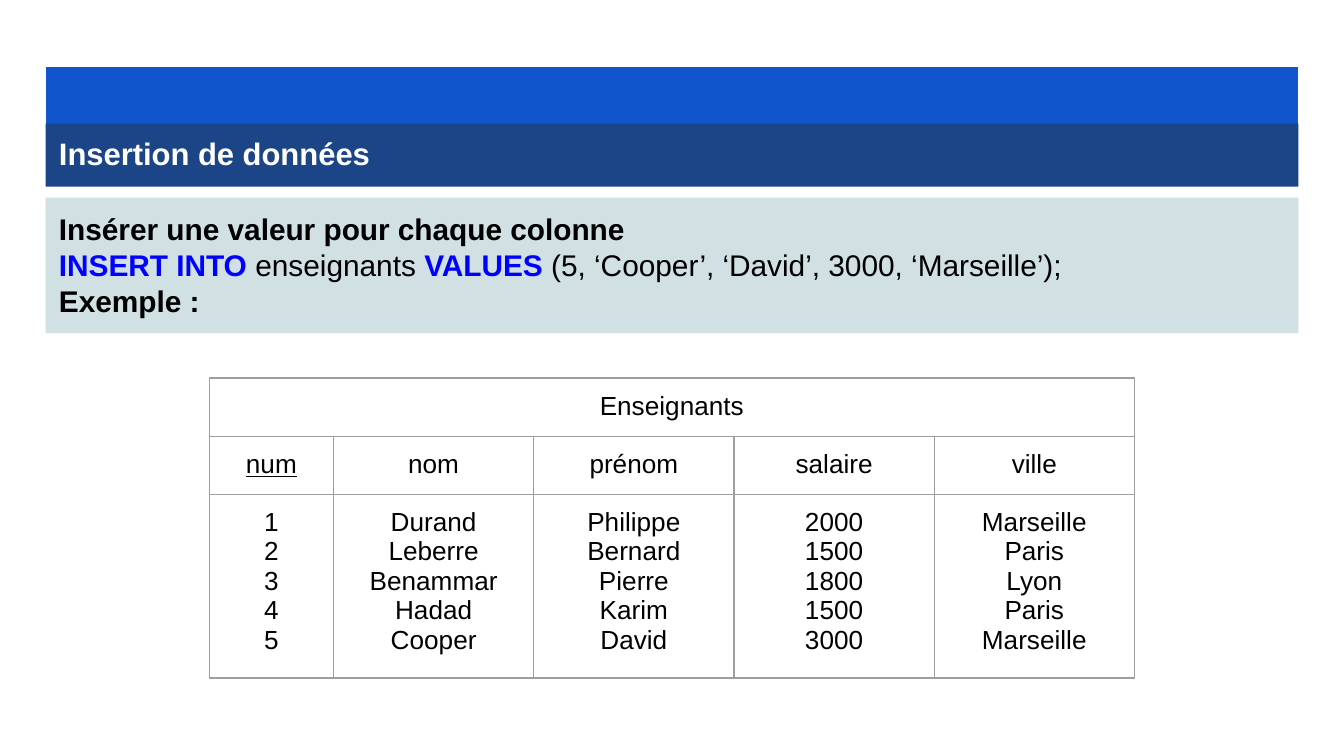
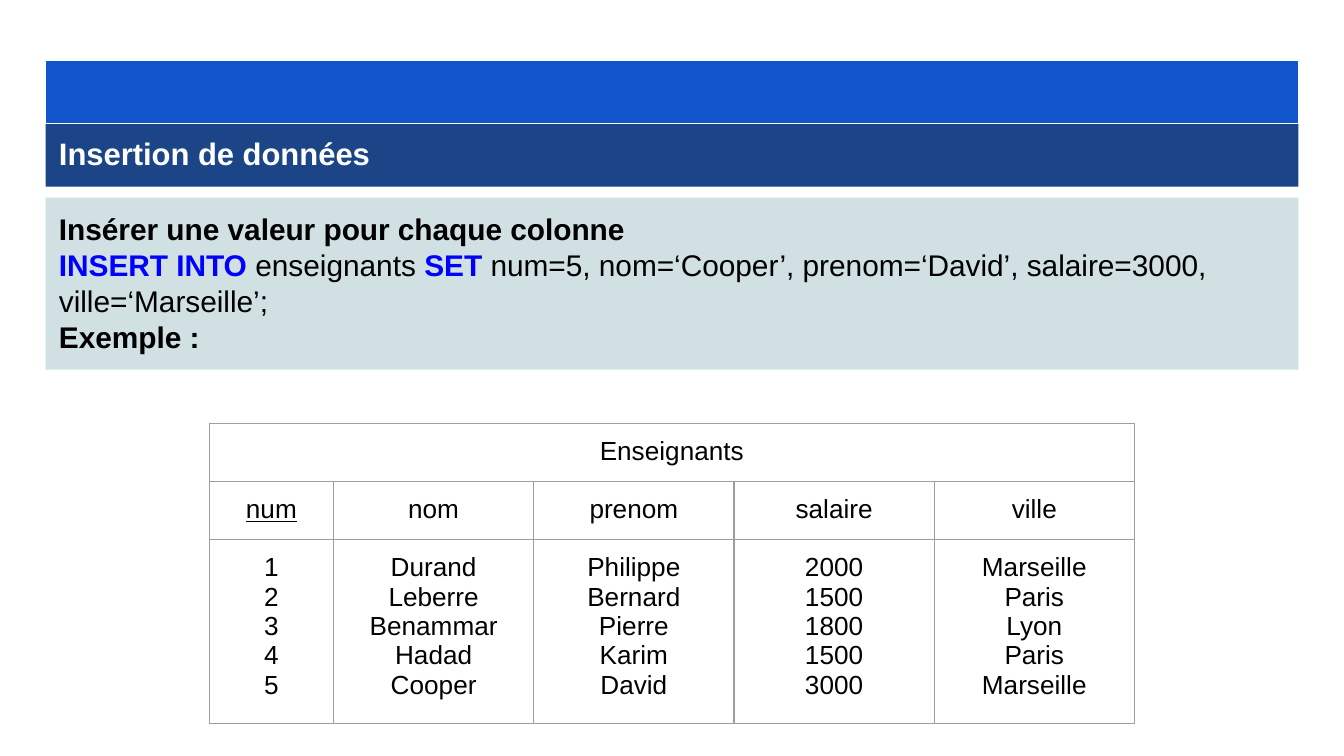
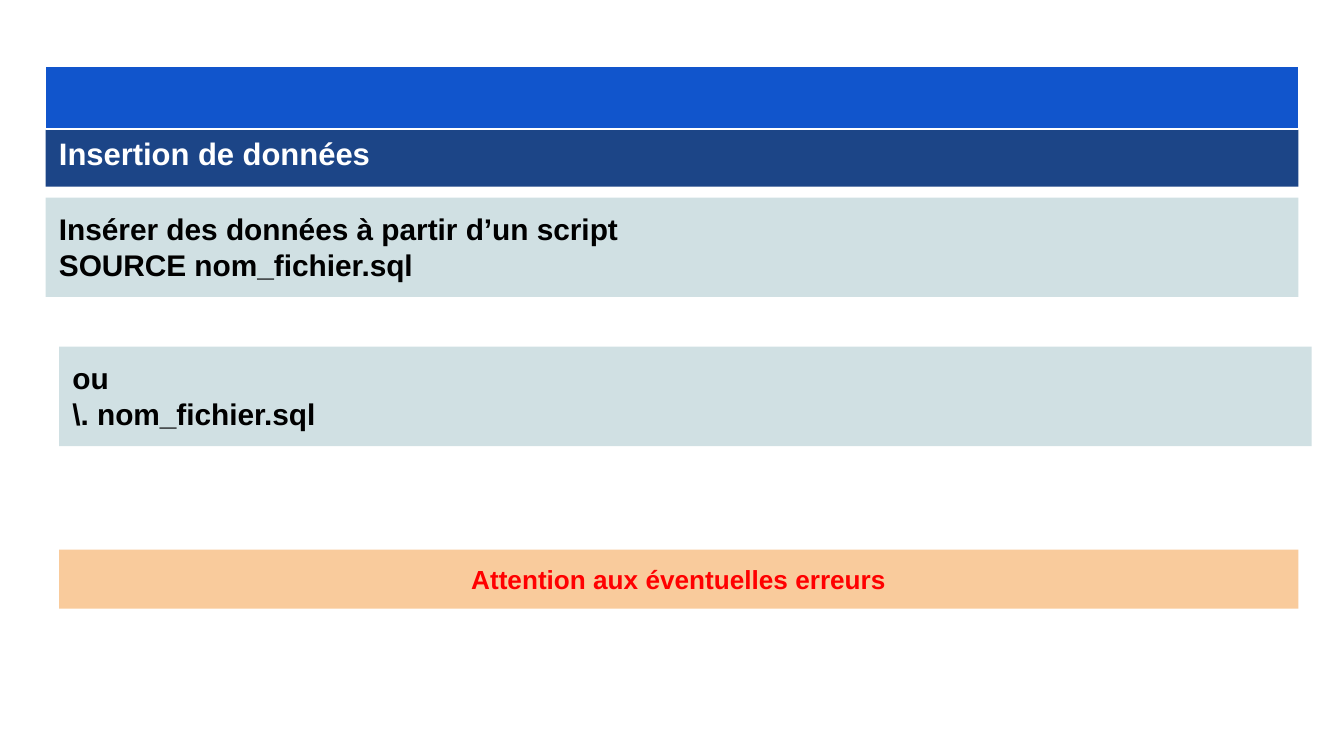
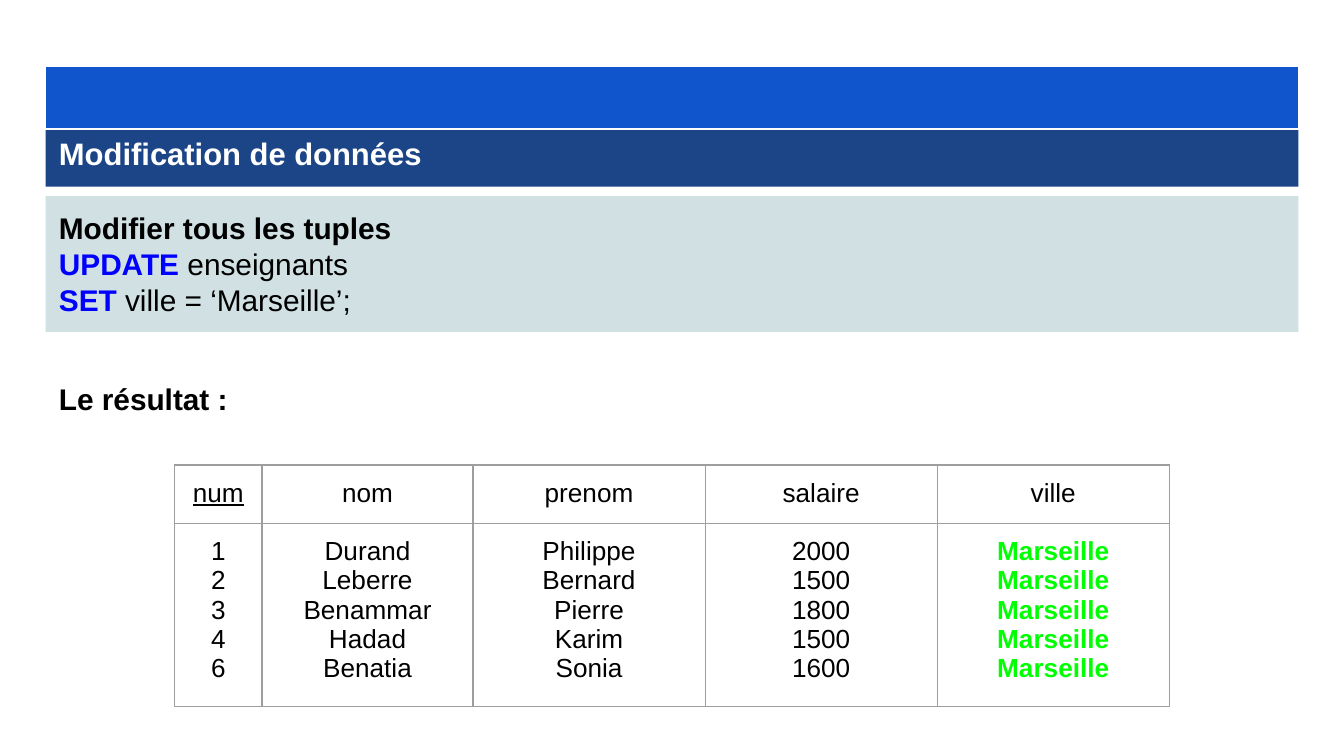
import pptx
import pptx.dml.color
import pptx.enum.shapes
import pptx.enum.text
import pptx.oxml
import pptx.oxml.ns
import pptx.util

WIDE = pptx.util.Inches(10)
HIGH = WIDE * 9 // 16
COLS = 100  # the grid is square: rows are as high as columns are wide
LEFT, SPAN = 3.4, 93.2
BAND = 4.7
PAD = 1
HEAD, BODY = 4.33, 13.67

FONT = "Arial"
WHITE, BLACK, RED, GREEN = "FFFFFF", "000000", "FF0000", "00FF00"
BRIGHT, NAVY, PALE, PEACH = "1155CC", "1C4587", "D0E0E3", "F9CB9C"
KEY, RULE = "0000FF", "9E9E9E"
START = pptx.enum.text.PP_ALIGN.LEFT
CENTER = pptx.enum.text.PP_ALIGN.CENTER

NAMES = ["Durand", "Leberre", "Benammar", "Hadad"]
FIRSTS = ["Philippe", "Bernard", "Pierre", "Karim"]
WAGES = ["2000", "1500", "1800", "1500"]
TOWNS = ["Marseille", "Paris", "Lyon", "Paris"]
STAFF = [["1", "2", "3", "4", "5"], NAMES + ["Cooper"], FIRSTS + ["David"],
         WAGES + ["3000"], TOWNS + ["Marseille"]]
MOVED = [["1", "2", "3", "4", "6"], NAMES + ["Benatia"], FIRSTS + ["Sonia"],
         WAGES + ["1600"], ["Marseille"] * 5]


def grid(count):
    return int(WIDE * count / COLS)


def color(code):
    return pptx.dml.color.RGBColor.from_string(code)


def style(font, size=None, code=None, bold=None):
    if size:
        font.name, font.size = FONT, pptx.util.Pt(size)
    if code:
        font.color.rgb = color(code)
    font.bold = bold


def inset(item):
    """Give a text frame or a table cell equal margins."""
    item.margin_left = item.margin_right = grid(PAD)
    item.margin_top = item.margin_bottom = grid(PAD)


def write(frame, lines, size, code=BLACK, bold=True, align=START):
    """Write paragraphs; a line is a string, or a list of (text, is keyword)."""
    for index, line in enumerate(lines):
        para = frame.add_paragraph() if index else frame.paragraphs[0]
        para.alignment = align
        if isinstance(line, str):
            style(para.font, size, code, bold)
            para.add_run().text = line
            continue
        style(para.font, size)
        for text, is_key in line:
            run = para.add_run()
            run.text = text
            style(run.font, code=KEY if is_key else code, bold=is_key)


def add_box(slide, top, high, fill, left=LEFT, span=SPAN):
    box = slide.shapes.add_shape(
        pptx.enum.shapes.MSO_SHAPE.RECTANGLE,
        grid(left), grid(top), grid(span), grid(high))
    box.shadow.inherit = False
    box.fill.solid()
    box.fill.fore_color.rgb = color(fill)
    box.line.fill.background()
    frame = box.text_frame
    frame.word_wrap = True
    frame.vertical_anchor = pptx.enum.text.MSO_ANCHOR.TOP
    inset(frame)
    return box


def add_note(slide, lines, top, high, left=LEFT):
    write(add_box(slide, top, high, PALE, left).text_frame, lines, 16)


def add_band(slide, top):
    band = add_box(slide, top, BAND, BRIGHT)
    band.line.color.rgb = color(WHITE)
    band.line.width = pptx.util.Pt(0.75)


def add_title(slide, text):
    frame = add_box(slide, 9.2, BAND, NAVY).text_frame
    write(frame, [text], 16.6, WHITE)
    para = frame.paragraphs[0]
    para.line_spacing = 0.95
    para.space_after = pptx.util.Pt(12)


def add_slide(deck, title, top=4.9, under=False):
    """Add a slide with its title and bright band, under or over the title."""
    slide = deck.slides.add_slide(deck.slide_layouts[6])
    if under:
        add_band(slide, top)
    add_title(slide, title)
    if not under:
        add_band(slide, top)
    return slide


def frame_cell(cell):
    props = cell._tc.get_or_add_tcPr()
    for index, side in enumerate(("lnL", "lnR", "lnT", "lnB")):
        props.insert(index, pptx.oxml.parse_xml(
            f'<a:{side} {pptx.oxml.ns.nsdecls("a")} w="9525"><a:solidFill>'
            f'<a:srgbClr val="{RULE}"/></a:solidFill></a:{side}>'))


def add_grid(slide, left, top, widths, heads, data, title=None, mark=False):
    """Add a table of one header row and one tall row of lists."""
    rows = [[[head] for head in heads], data]
    if title:
        rows.insert(0, [[title]] + [[]] * (len(heads) - 1))
    highs = [HEAD] * (len(rows) - 1) + [BODY]
    table = slide.shapes.add_table(
        len(rows), len(heads), grid(left), grid(top),
        grid(sum(widths)), grid(sum(highs))).table
    table.first_row = table.horz_banding = False
    for col, width in zip(table.columns, widths):
        col.width = grid(width)
    for row, high in zip(table.rows, highs):
        row.height = grid(high)
    for y, row in enumerate(rows):
        for x, lines in enumerate(row):
            cell = table.cell(y, x)
            inset(cell)
            cell.fill.background()
            frame_cell(cell)
            hot = mark and lines is data[-1]
            write(cell.text_frame, lines, 14, GREEN if hot else BLACK,
                  hot, CENTER)
    if title:
        table.cell(0, 0).merge(table.cell(0, len(heads) - 1))
    key = table.cell(len(rows) - 2, 0).text_frame.paragraphs[0]
    key.font.underline = True


def add_staff(slide, top, first):
    add_grid(slide, 15.57, top, [9.25] + [14.9] * 4,
             ["num", "nom", first, "salaire", "ville"], STAFF, "Enseignants")


def add_alert(slide, text):
    box = add_box(slide, 40.9, 4.4, PEACH, 4.4, 92.2)
    write(box.text_frame, [text], 14, RED, align=CENTER)


def add_label(slide, text):
    box = slide.shapes.add_textbox(
        grid(LEFT), grid(27.3), grid(38.7), grid(BAND))
    box.text_frame.word_wrap = True
    inset(box.text_frame)
    write(box.text_frame, [text], 16)


def main():
    deck = pptx.Presentation()
    deck.slide_width, deck.slide_height = WIDE, HIGH
    insert = "Insertion de données"
    each = "Insérer une valeur pour chaque colonne"
    start = [("INSERT INTO ", True), ("enseignants ", False)]

    slide = add_slide(deck, insert, under=True)
    add_note(slide, [each, start + [
        ("VALUES ", True),
        ("(5, ‘Cooper’, ‘David’, 3000, ‘Marseille’);", False),
    ], "Exemple :"], 14.7, 10.1)
    add_staff(slide, 28.13, "prénom")

    slide = add_slide(deck, insert, 4.5)
    add_note(slide, [each, start + [
        ("SET ", True),
        ("num=5, nom=‘Cooper’, prenom=‘David’, salaire=3000, "
         "ville=‘Marseille’;", False),
    ], "Exemple :"], 14.7, 12.8)
    add_staff(slide, 31.5, "prenom")

    slide = add_slide(deck, insert)
    add_note(slide, ["Insérer des données à partir d’un script",
                     "SOURCE nom_fichier.sql"], 14.7, 7.4)
    add_alert(slide, "Attention aux éventuelles erreurs")
    add_note(slide, ["ou", "\\. nom_fichier.sql"], 25.8, 7.4, 4.4)

    slide = add_slide(deck, "Modification de données")
    add_note(slide, ["Modifier tous les tuples",
                     [("UPDATE ", True), ("enseignants", False)],
                     [("SET", True), (" ville = ‘Marseille’;", False)]],
             14.6, 10.1)
    add_grid(slide, 13, 34.6, [6.5, 15.7] + [17.27] * 3,
             ["num", "nom", "prenom", "salaire", "ville"], MOVED, mark=True)
    add_label(slide, "Le résultat :")

    deck.save("out.pptx")


if __name__ == "__main__":
    main()
